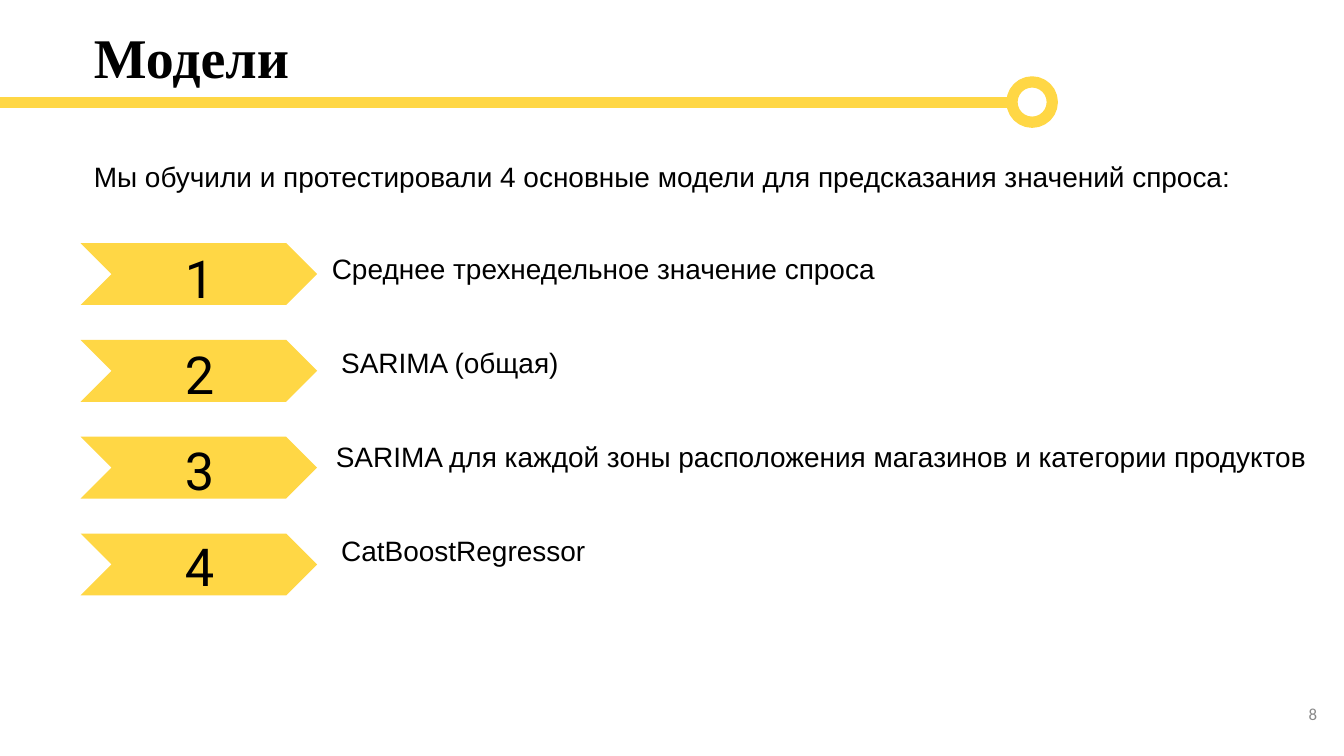
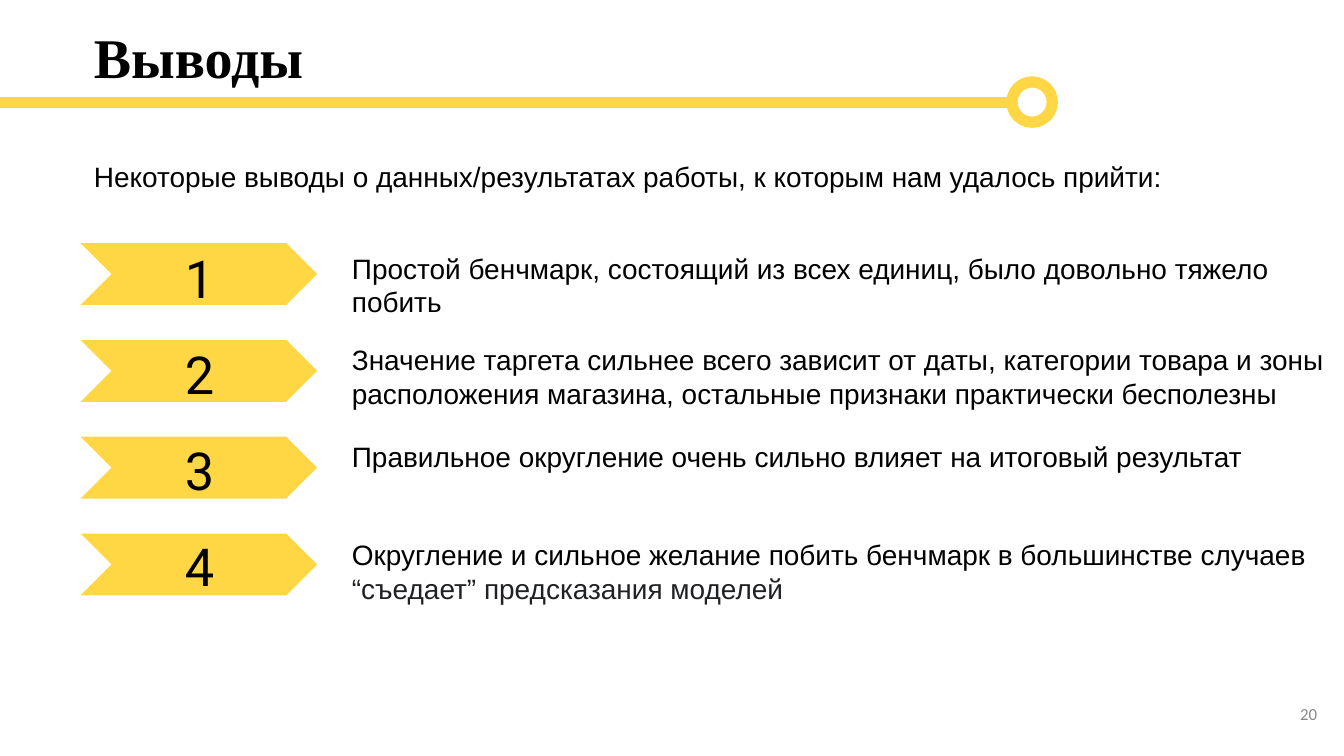
from dataclasses import dataclass

from lxml import etree
from pptx import Presentation
from pptx.dml.color import RGBColor
from pptx.enum import shapes, text
from pptx.oxml import ns
from pptx.util import Inches, Pt


@dataclass(frozen=True)
class Theme:
    accent: str = "FFD745"
    ink: str = "000000"
    soft_ink: str = "202124"
    muted: str = "888888"
    title_font: str = "Times New Roman"
    body_font: str = "Arial"
    number_font: str = "Roboto"
    footer_font: str = "Calibri"
    title_size: int = 30
    number_size: int = 28
    body_size: int = 15
    footer_size: int = 9
    rule_width: int = 6


MARGIN = 0.6
RULE_Y = 0.76
RING_LEFT, RING_SIZE = 7.53, 0.3
CHEVRON_TOP, CHEVRON_PITCH = 1.81, 0.72
NUMBER_TOP, NUMBER_PITCH = 1.75, 2.14 / 3


class Deck:
    def __init__(self, theme):
        self.theme = theme
        self.prs = Presentation()
        self.prs.slide_width = Inches(10)
        self.prs.slide_height = Inches(10) * 9 // 16
        self.s = None

    def new_slide(self):
        self.s = self.prs.slides.add_slide(self.prs.slide_layouts[6])

    def add_text(self, content, left, top, width, height, *, font=None, size=None,
                 color=None, bold=False, align=None, anchor=text.MSO_ANCHOR.TOP,
                 inset=(0.1, 0.05), spacing=None, grow=False):
        """Add one paragraph; content is a string or a list of (string, colour) runs."""
        t = self.theme
        sp = self.s.shapes.add_textbox(*map(Inches, (left, top, width, height)))
        tf = sp.text_frame
        tf.word_wrap = True
        tf.auto_size = (text.MSO_AUTO_SIZE.SHAPE_TO_FIT_TEXT if grow
                        else text.MSO_AUTO_SIZE.NONE)
        tf.vertical_anchor = anchor
        tf.margin_left = tf.margin_right = Inches(inset[0])
        tf.margin_top = tf.margin_bottom = Inches(inset[1])
        p = tf.paragraphs[0]
        p.alignment = align
        p.line_spacing = spacing
        runs = [(content, color or t.ink)] if isinstance(content, str) else content
        for words, run_color in runs:
            r = p.add_run()
            r.text = words
            r.font.name = font or t.body_font
            r.font.size = Pt(size or t.body_size)
            r.font.bold = bold
            r.font.color.rgb = RGBColor.from_string(run_color)

    def add_shape(self, kind, left, top, width, height, *, fill=None, line=None):
        sp = self.s.shapes.add_shape(kind, *map(Inches, (left, top, width, height)))
        sp.shadow.inherit = False
        if fill:
            sp.fill.solid()
            sp.fill.fore_color.rgb = RGBColor.from_string(fill)
        else:
            sp.fill.background()
        if line:
            self.set_line(sp, line)
        else:
            sp.line.fill.background()

    def add_line(self, x1, y1, x2, y2, color):
        cn = self.s.shapes.add_connector(
            shapes.MSO_CONNECTOR.STRAIGHT, *map(Inches, (x1, y1, x2, y2)))
        self.set_line(cn, color)
        etree.SubElement(cn._element.spPr, ns.qn("a:effectLst"))

    def set_line(self, sp, color):
        sp.line.color.rgb = RGBColor.from_string(color)
        sp.line.width = Pt(self.theme.rule_width)

    def add_title(self, title):
        t = self.theme
        self.add_text(title, MARGIN, 0.12, 7.39, 0.63,
                      font=t.title_font, size=t.title_size, bold=True)
        self.add_line(0, RULE_Y, RING_LEFT, RULE_Y, t.accent)
        self.add_shape(shapes.MSO_SHAPE.OVAL, RING_LEFT, RULE_Y - RING_SIZE / 2,
                       RING_SIZE, RING_SIZE, line=t.accent)

    def add_intro(self, intro):
        self.add_text(intro, MARGIN, 1.09, 9.24, 0.45, inset=(0.1, 0.1), grow=True)

    def add_item(self, index, left, top, width, label):
        """Add a numbered chevron with its label to the right."""
        t = self.theme
        self.add_shape(shapes.MSO_SHAPE.CHEVRON, MARGIN,
                       CHEVRON_TOP + index * CHEVRON_PITCH, 1.76, 0.46, fill=t.accent)
        self.add_text(str(index + 1), 0.86, NUMBER_TOP + index * NUMBER_PITCH,
                      1.25, 0.43, font=t.number_font, size=t.number_size,
                      align=text.PP_ALIGN.CENTER, spacing=1.07)
        self.add_text(label, left, top, width, 0.32)

    def add_page_number(self, number):
        t = self.theme
        self.add_text(str(number), 9.27, 5.1, 0.6, 0.43, font=t.footer_font,
                      size=t.footer_size, color=t.muted, align=text.PP_ALIGN.RIGHT,
                      anchor=text.MSO_ANCHOR.MIDDLE, inset=(0.07, 0.07))

    def add_list_slide(self, title, intro, items, page):
        self.new_slide()
        self.add_title(title)
        self.add_intro(intro)
        for i, item in enumerate(items):
            self.add_item(i, *item)
        self.add_page_number(page)


def main():
    theme = Theme()
    deck = Deck(theme)
    # Each item: left, top and width of the label, then its text.
    deck.add_list_slide(
        "Модели",
        "Мы обучили и протестировали 4 основные модели для предсказания значений спроса:",
        [
            (2.37, 1.82, 6.52, "Среднее трехнедельное значение спроса"),
            (2.44, 2.52, 7.48, "SARIMA (общая)"),
            (2.4, 3.22, 7.72,
             "SARIMA для каждой зоны расположения магазинов и категории продуктов"),
            (2.44, 3.92, 7.32, "CatBoostRegressor"),
        ],
        page=8)
    deck.add_list_slide(
        "Выводы",
        "Некоторые выводы о данных/результатах работы, к которым нам удалось прийти:",
        [
            (2.52, 1.82, 7.48,
             "Простой бенчмарк, состоящий из всех единиц, было довольно тяжело побить"),
            (2.52, 2.5, 7.63,
             "Значение таргета сильнее всего зависит от даты, категории товара и зоны "
             "расположения магазина, остальные признаки практически бесполезны"),
            (2.52, 3.22, 7.14,
             "Правильное округление очень сильно влияет на итоговый результат"),
            (2.52, 3.95, 7.32, [
                ("Округление и сильное желание побить бенчмарк в большинстве случаев ",
                 theme.ink),
                ("“съедает” предсказания моделей", theme.soft_ink),
            ]),
        ],
        page=20)
    deck.prs.save("out.pptx")


if __name__ == "__main__":
    main()
